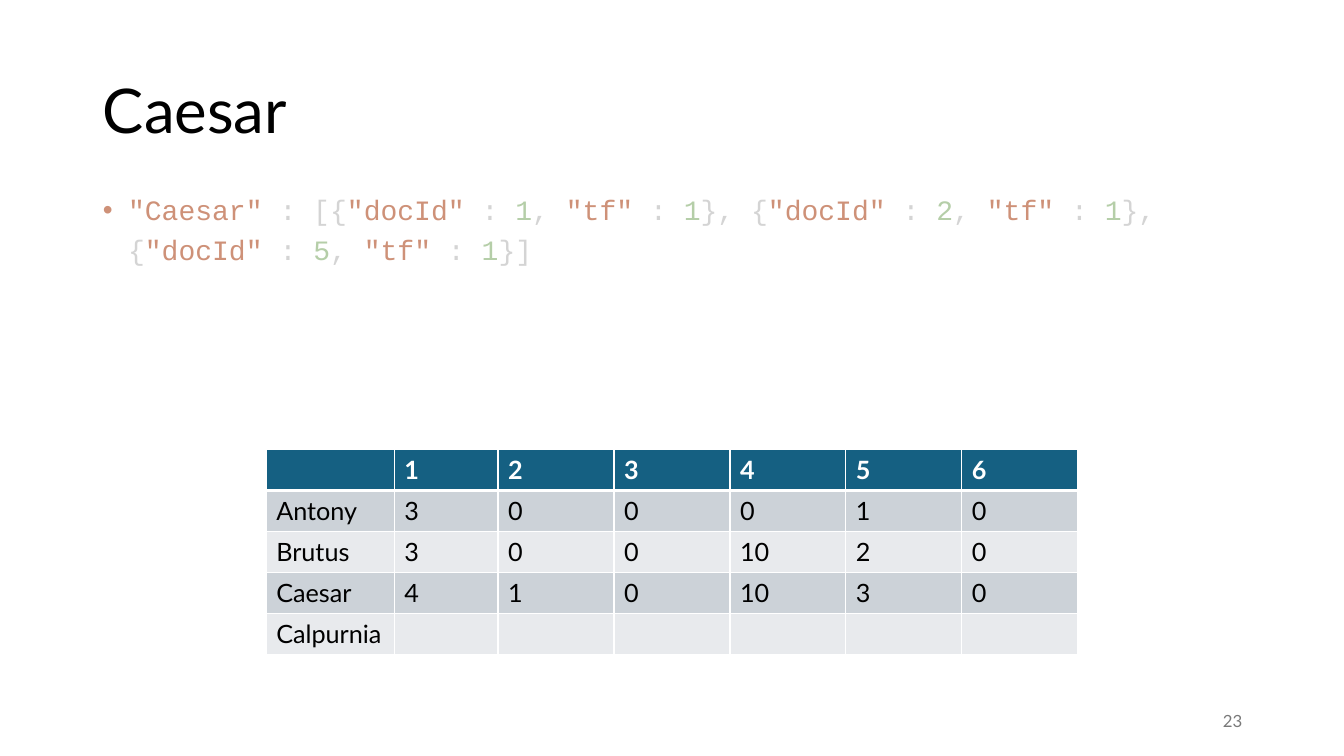
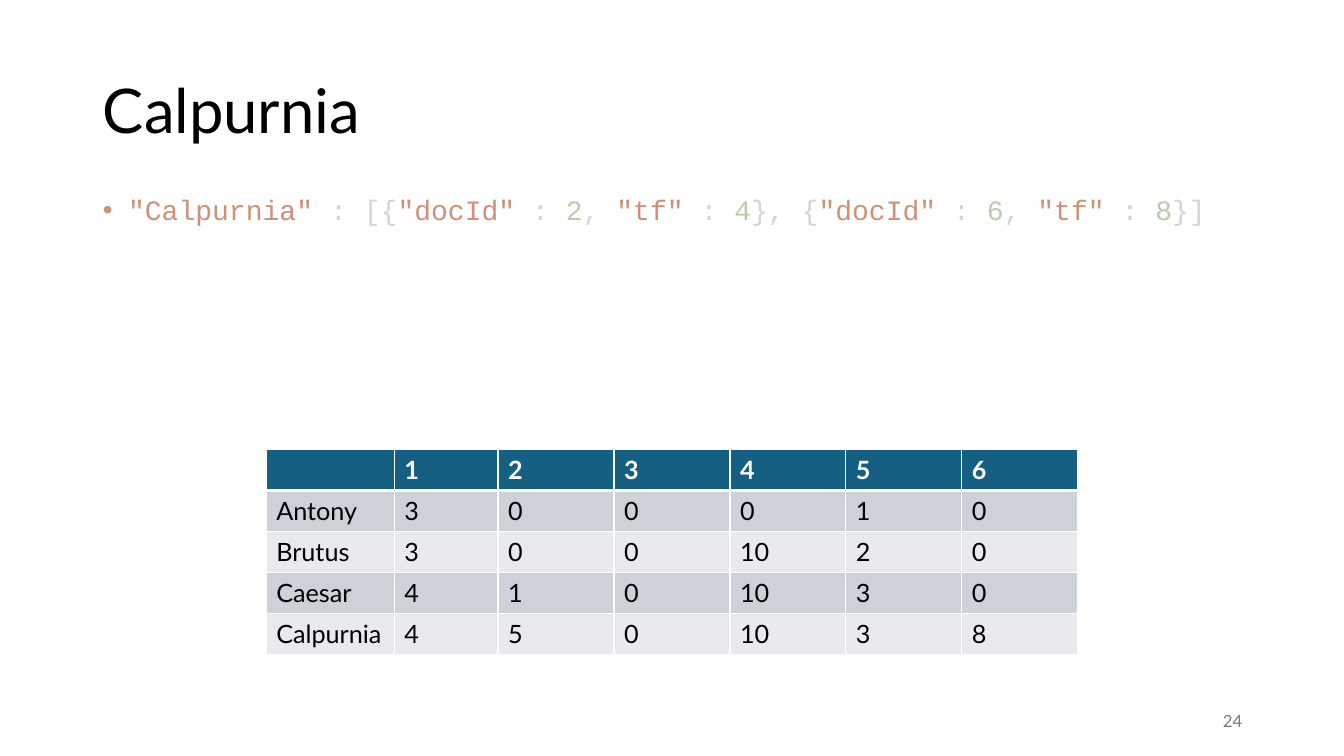
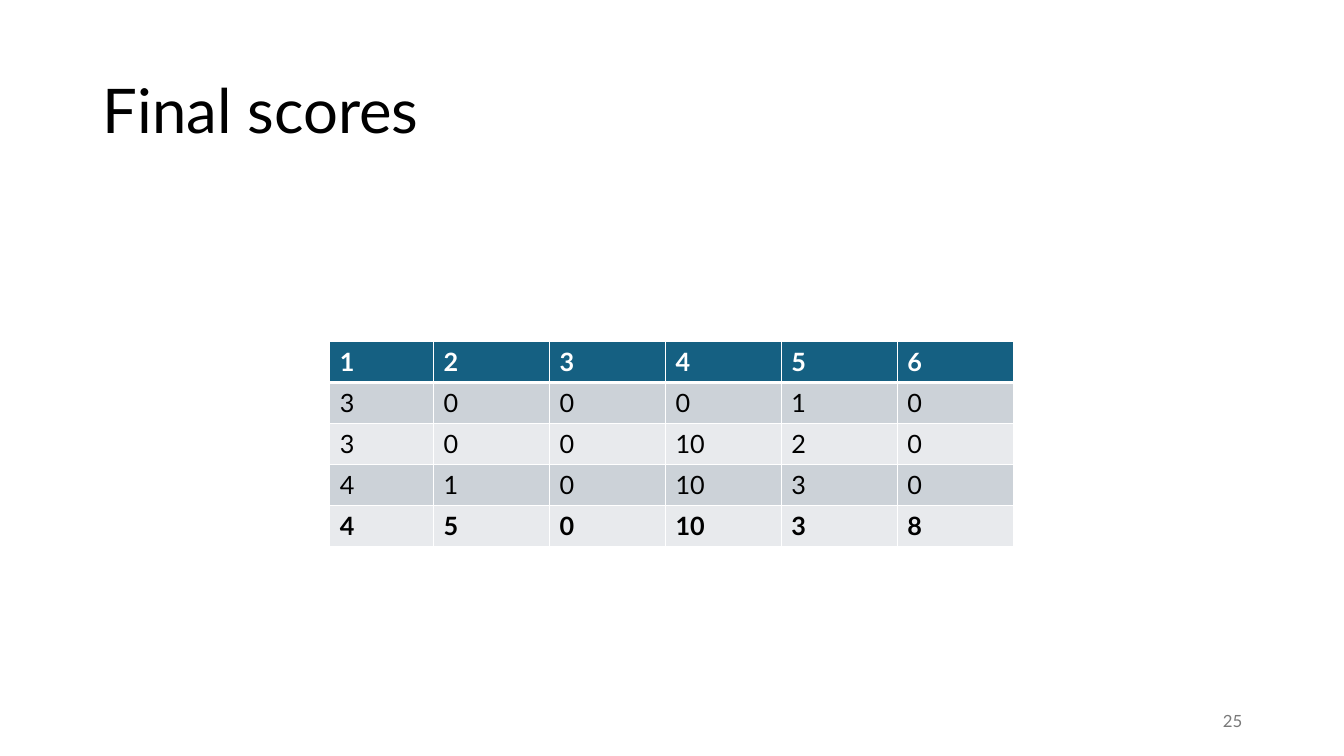
from dataclasses import dataclass

from lxml import etree
from pptx import Presentation
from pptx import util as u
from pptx.dml.color import RGBColor
from pptx.enum import text
from pptx.oxml.ns import qn

SCORES = {
    "Antony": (3, 0, 0, 0, 1, 0),
    "Brutus": (3, 0, 0, 10, 2, 0),
    "Caesar": (4, 1, 0, 10, 3, 0),
    "Calpurnia": (4, 5, 0, 10, 3, 8),
}
DOCUMENTS = (1, 2, 3, 4, 5, 6)
TERM_HEADER = [("", *DOCUMENTS)]
FINAL_TABLE = [("", *DOCUMENTS)] + [(term, *row) for term, row in SCORES.items()]
PARTIAL_TABLE = FINAL_TABLE[:-1] + [("Calpurnia",) + ("",) * len(DOCUMENTS)]

# Postings are lines of (docId, tf) pairs.
SLIDES = [
    dict(title="Caesar", postings=[[(1, 1), (2, 1)], [(5, 1)]],
         rows=PARTIAL_TABLE, table_top=446),
    dict(title="Calpurnia", postings=[[(2, 4), (6, 8)]],
         rows=FINAL_TABLE, table_top=446),
    dict(title="Final scores", postings=None,
         rows=[row[1:] for row in FINAL_TABLE], table_top=339, bold_last=True),
]
FIRST_NUMBER = 23

PX = 9144  # 100 px to the inch
SLIDE_WIDTH, SLIDE_HEIGHT = 1333, 750
TITLE_BOX = (92, 40, 1150, 145)
BODY_BOX = (92, 200, 1150, 476)
NUMBER_BOX = (942, 695, 300, 40)
COLUMN_WIDTHS = (127, 103, 115, 115, 115, 115, 115)
TABLE_HEIGHT = 203
BULLET_INDENT = 25


@dataclass(frozen=True)
class Theme:
    sans: str = "Lato"
    mono: str = "Courier New"
    title_size: int = 44
    code_size: int = 20
    table_size: int = 18
    number_size: int = 12
    code_leading: float = 14.2
    ink: str = "000000"
    white: str = "FFFFFF"
    muted: str = "797979"
    header: str = "156082"
    bands: tuple = ("CCD2D8", "E8EAED")
    key: str = "CE9178"
    mark: str = "D4D4D4"
    value: str = "B5CEA8"


THEME = Theme()


def place(shape, box):
    shape.left, shape.top, shape.width, shape.height = (side * PX for side in box)


def style(font, name, size, color, bold=False):
    font.name, font.size, font.bold = name, u.Pt(size), bold
    font.color.rgb = RGBColor.from_string(color)


def add_title(slide, title):
    place(slide.shapes.title, TITLE_BOX)
    frame = slide.shapes.title.text_frame
    frame.text = title
    frame.auto_size = text.MSO_AUTO_SIZE.NONE
    frame.vertical_anchor = text.MSO_ANCHOR.MIDDLE
    para = frame.paragraphs[0]
    para.alignment = text.PP_ALIGN.LEFT
    para.line_spacing = 0.9
    style(para.font, THEME.sans, THEME.title_size, THEME.ink)


def posting_lines(term, postings):
    """Return, line by line, the (text, colour) spans of a term's postings."""
    key, mark, value = THEME.key, THEME.mark, THEME.value
    lines = []
    for index, pairs in enumerate(postings):
        line = [("{", mark)] if index else [(f'"{term}"', key), (" : [{", mark)]
        for position, (doc_id, frequency) in enumerate(pairs):
            if position:
                line.append(("}, {", mark))
            line += [('"docId"', key), (" : ", mark), (str(doc_id), value), (", ", mark),
                     ('"tf"', key), (" : ", mark), (str(frequency), value)]
        line.append(("}]" if index == len(postings) - 1 else "},", mark))
        lines.append(line)
    return lines


def add_postings(slide, term, postings):
    body = slide.placeholders[1]
    place(body, BODY_BOX)
    frame = body.text_frame
    frame.auto_size = text.MSO_AUTO_SIZE.NONE
    for index, line in enumerate(posting_lines(term, postings)):
        para = frame.add_paragraph() if index else frame.paragraphs[0]
        para.line_spacing = u.Pt(THEME.code_leading)
        para.space_before = u.Pt(THEME.code_leading if index else 10)
        properties = para._p.get_or_add_pPr()
        properties.set("marL", str(BULLET_INDENT * PX))
        properties.set("indent", str(0 if index else -BULLET_INDENT * PX))
        if index:
            etree.SubElement(properties, qn("a:buNone"))
        for words, color in line:
            span = para.add_run()
            span.text = words
            style(span.font, THEME.mono, THEME.code_size, color)


def set_borders(cell, top, bottom):
    """Draw white cell borders; top and bottom are widths in points."""
    properties = cell._tc.get_or_add_tcPr()
    widths = {"a:lnL": 1, "a:lnR": 1, "a:lnT": top, "a:lnB": bottom}
    for position, (tag, width) in enumerate(widths.items()):
        line = etree.Element(qn(tag), w=str(u.Pt(width)))
        fill = etree.SubElement(line, qn("a:solidFill"))
        etree.SubElement(fill, qn("a:srgbClr"), val=THEME.white)
        properties.insert(position, line)


def add_scores(slide, rows, top, bold_last):
    widths = COLUMN_WIDTHS[-len(rows[0]):]
    total = sum(widths)
    box = ((SLIDE_WIDTH - total) // 2, top, total, TABLE_HEIGHT)
    table = slide.shapes.add_table(len(rows), len(widths), *(side * PX for side in box)).table
    for column, width in zip(table.columns, widths):
        column.width = width * PX
    for r, row in enumerate(rows):
        is_header = r == 0
        fill = THEME.header if is_header else THEME.bands[(r - 1) % 2]
        color = THEME.white if is_header else THEME.ink
        bold = is_header or (bold_last and r == len(rows) - 1)
        for c, score in enumerate(row):
            cell = table.cell(r, c)
            cell.text = str(score)
            cell.fill.solid()
            cell.fill.fore_color.rgb = RGBColor.from_string(fill)
            set_borders(cell, top=3 if r == 1 else 1, bottom=3 if is_header else 1)
            style(cell.text_frame.paragraphs[0].font, THEME.sans, THEME.table_size, color, bold)


def add_number(slide, number):
    box = slide.shapes.add_textbox(*(side * PX for side in NUMBER_BOX))
    frame = box.text_frame
    frame.word_wrap = True
    frame.vertical_anchor = text.MSO_ANCHOR.MIDDLE
    frame.text = str(number)
    para = frame.paragraphs[0]
    para.alignment = text.PP_ALIGN.RIGHT
    style(para.font, THEME.sans, THEME.number_size, THEME.muted)


def main():
    deck = Presentation()
    deck.slide_width, deck.slide_height = SLIDE_WIDTH * PX, SLIDE_HEIGHT * PX
    content_layout, title_layout = deck.slide_layouts[1], deck.slide_layouts[5]
    for number, page in enumerate(SLIDES, FIRST_NUMBER):
        slide = deck.slides.add_slide(content_layout if page["postings"] else title_layout)
        add_title(slide, page["title"])
        if page["postings"]:
            add_postings(slide, page["title"], page["postings"])
        add_scores(slide, page["rows"], page["table_top"], page.get("bold_last", False))
        add_number(slide, number)
    deck.save("out.pptx")


if __name__ == "__main__":
    main()
